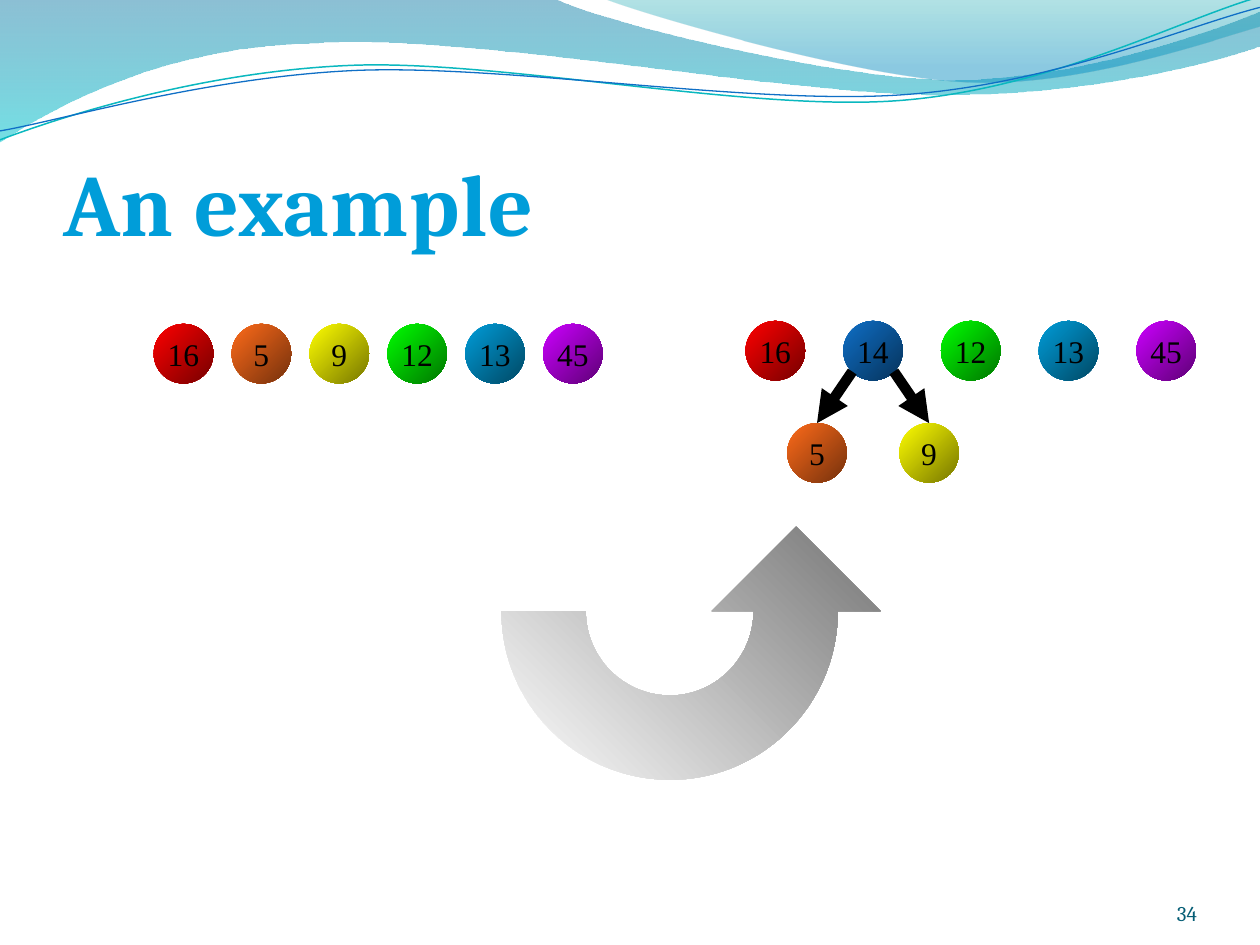
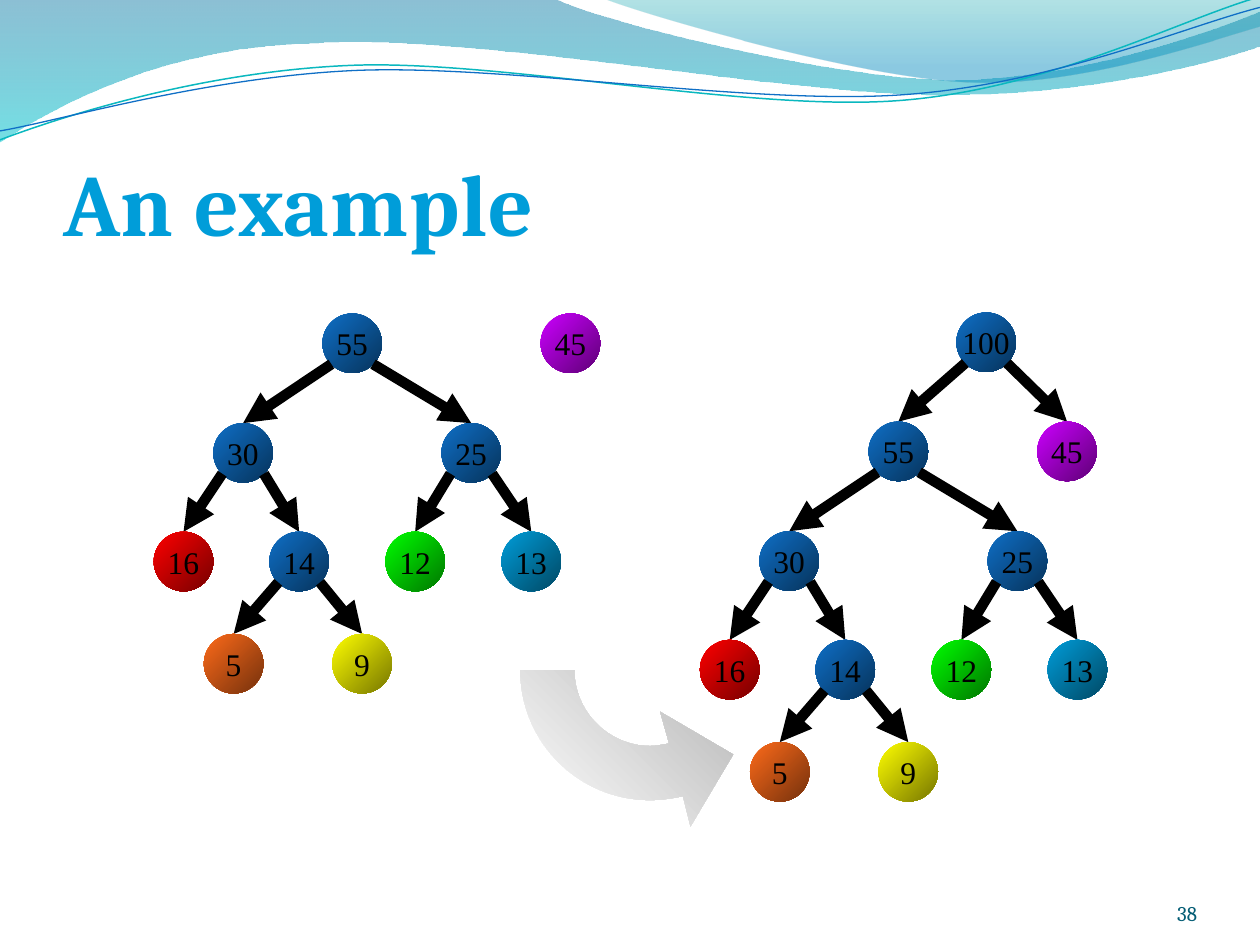
from lxml import etree
from pptx import Presentation
from pptx.dml.color import RGBColor
from pptx.enum.shapes import MSO_CONNECTOR, MSO_SHAPE
from pptx.enum.text import MSO_ANCHOR, MSO_AUTO_SIZE, PP_ALIGN
from pptx.oxml.ns import qn
from pptx.util import Cm, Pt

OVAL = MSO_SHAPE.OVAL
LINE = MSO_CONNECTOR.STRAIGHT
LEFT, MID, RIGHT = PP_ALIGN.LEFT, PP_ALIGN.CENTER, PP_ALIGN.RIGHT
BASE, CORE = MSO_ANCHOR.BOTTOM, MSO_ANCHOR.MIDDLE
FIXED = MSO_AUTO_SIZE.NONE

BLUE = "0F6FC6"
SKY = "009DD9"
WHITE = "FFFFFF"
HUES = {"16": "FF0000", "5": "FE6B1A", "9": "FFFF00",
        "12": "00FF00", "13": SKY, "45": "CC00FF"}
SIZE = 1.2


def paint(fill, *tones, turn=315, stops=(0, 1)):
    if len(tones) == 1:
        fill.solid()
        fill.fore_color.rgb = RGBColor.from_string(tones[0])
        return
    fill.gradient()
    fill.gradient_angle = turn
    for stop, tone, place in zip(fill.gradient_stops, tones, stops):
        stop.color.rgb = RGBColor.from_string(tone)
        stop.position = place


def write(shape, text, font="Cambria", size=18, tones=("000000",), bold=False,
          align=MID, anchor=CORE, wrap=True, pads=None, **shade):
    frame = shape.text_frame
    frame.auto_size = FIXED
    frame.word_wrap = wrap
    frame.vertical_anchor = anchor
    if pads:
        (frame.margin_left, frame.margin_top,
         frame.margin_right, frame.margin_bottom) = map(Cm, pads)
    para = frame.paragraphs[0]
    para.alignment = align
    run = para.add_run()
    run.text = text
    run.font.name = font
    run.font.size = Pt(size)
    run.font.bold = bold
    paint(run.font.fill, *tones, **shade)


deck = Presentation()
deck.slide_width, deck.slide_height = Cm(25.4), Cm(19.05)
plan = deck.slide_layouts[5]
deep = []

row = [(name, 3.7 + 1.57 * i, 6.53, None)
       for i, name in enumerate(["16", "5", "9", "12", "13", "45"])]
merged = [(name, 15.63 + 1.97 * i, 6.47, None)
          for i, name in enumerate(["16", "14", "12", "13", "45"])]
merged += [("5", 16.47, 8.53, "14"), ("9", 18.73, 8.53, "14")]
tree = [
    ("55", 7.1, 6.32, None),
    ("30", 4.9, 8.53, "55"),
    ("25", 9.5, 8.53, "55"),
    ("16", 3.7, 10.72, "30"),
    ("14", 6.03, 10.72, "30"),
    ("12", 8.37, 10.72, "25"),
    ("13", 10.71, 10.72, "25"),
    ("5", 4.71, 12.78, "14"),
    ("9", 7.3, 12.78, "14"),
]
lone = [("45", 11.5, 6.32, None)]
full = [("100", 19.88, 6.3, None), ("45", 21.51, 8.5, "100")]
full += [(name, x + 11.01, y + 2.18, up or "100") for name, x, y, up in tree]

for number, groups in [("34", [row, merged]), ("38", [tree, lone, full])]:
    slide = deck.slides.add_slide(plan)
    title = slide.shapes.title
    title.left, title.top = Cm(1.27), Cm(1.95)
    title.width, title.height = Cm(22.86), Cm(3.17)
    write(title, "An example", size=50, bold=True, align=LEFT, anchor=BASE,
          tones=(SKY, "006F99"), turn=270, stops=(0.25, 1),
          pads=(0, 0.13, 0, 0))
    for props in title.element.iter(qn("a:rPr")):
        props.set("spc", "50")
    page = slide.shapes.add_textbox(Cm(22.02), Cm(17.65), Cm(2.11), Cm(1.02))
    write(page, number, size=12, tones=("045D75",), align=RIGHT, anchor=BASE,
          pads=(0, 0, 0, 0))

    for group in groups:
        spots = {name: (x, y) for name, x, y, up in group}
        for name, x, y, up in group:
            if up:
                px, py = spots[up]
                start = px + (0.42 if x > px else -0.42)
                link = slide.shapes.add_connector(
                    LINE, Cm(start), Cm(py + 1.02), Cm(x), Cm(y))
                paint(link.line.fill, "000000")
                link.line.width = Pt(6)
                props = link.element.spPr
                etree.SubElement(props.find(qn("a:ln")), qn("a:tailEnd"),
                                 type="triangle")
                etree.SubElement(props, qn("a:effectLst"))
            ball = slide.shapes.add_shape(
                OVAL, Cm(x - SIZE / 2), Cm(y), Cm(SIZE), Cm(SIZE))
            ball.shadow.inherit = False
            ball.line.fill.background()
            hue = HUES.get(name, BLUE)
            paint(ball.fill, hue, hue)
            deep.append(ball)
            write(ball, name, font="Times New Roman", wrap=False)

band = [(0, 0), (11.18, -0.03), (12.09, 0.43, 16.87, 1.6, 19.25, 1.6),
        (21.67, 1.6, 24.33, 0.66, 25.4, 0.23), (25.43, 0.91),
        (24.97, 1.12, 22.1, 1.93, 18.95, 1.91),
        (15.8, 1.91, 9.7, 0.71, 6.53, 0.86),
        (3.28, 0.91, 1.17, 2.11, -0.03, 2.87), (0, 0)]
crest = [(12.17, -0.03), (12.93, 0.28, 17.32, 1.57, 19.53, 1.65),
         (21.74, 1.75, 24.41, 0.81, 25.4, 0.53), (25.4, 0), (12.17, -0.03)]
teal = [(0, 2.82), (1.22, 2.36, 4.01, 1.45, 7.04, 1.32),
        (10.03, 1.19, 15.06, 2.26, 18.11, 2.03),
        (21.16, 1.8, 23.83, 0.38, 25.35, -0.05)]
navy = [(0, 2.64), (1.19, 2.44, 4.17, 1.55, 7.19, 1.42),
        (10.24, 1.3, 15.16, 2.13, 18.21, 1.91),
        (21.23, 1.7, 23.9, 0.53, 25.4, 0.15)]
turnup = [(15.19, 12.32), (15.19, 13.26, 14.43, 14.02, 13.51, 14.02),
          (12.57, 14.02, 11.81, 13.26, 11.81, 12.32), (10.11, 12.32),
          (10.11, 14.2, 11.63, 15.72, 13.51, 15.72),
          (15.37, 15.72, 16.89, 14.2, 16.89, 12.32),
          (17.75, 12.32), (16.05, 10.62), (14.35, 12.32), (15.19, 12.32)]
swing = [(13.49, 14.99), (13.36, 15.01, 13.23, 15.04, 13.11, 15.04),
         (12.27, 15.04, 11.58, 14.35, 11.58, 13.51), (10.49, 13.51),
         (10.49, 14.96, 11.66, 16.13, 13.11, 16.13),
         (13.31, 16.13, 13.54, 16.1, 13.77, 16.05),
         (13.92, 16.66), (14.78, 15.21), (13.31, 14.35), (13.49, 14.99)]

first, last = deck.slides
forms = [
    (first, band, ("0074A1", "00C6CF"), 270, (0, 1), (45, 55), 0),
    (first, crest, ("00A1A9", "008BBF"), 270, (0, 0.8), (30, 45), 0),
    (first, teal, ("0AB8BF",), 0, (), (), 0.85),
    (first, navy, (BLUE,), 0, (), (), 0.75),
    (first, turnup, (WHITE, WHITE), 45, (0, 1), (), 0),
    (last, swing, (WHITE, "B6B6B6"), 45, (0, 1), (), 0),
]
for index, (slide, steps, tones, turn, stops, clear, width) in enumerate(forms):
    ends = [(Cm(step[-2]), Cm(step[-1])) for step in steps]
    pen = slide.shapes.build_freeform(*ends[0])
    pen.add_line_segments(ends[1:], close=not width)
    form = pen.convert_to_shape()
    form.shadow.inherit = False
    for step, side in zip(steps[1:], list(form.element.iter(qn("a:lnTo")))):
        if len(step) == 6:
            curve = etree.Element(qn("a:cubicBezTo"))
            for x, y in zip(step[::2], step[1::2]):
                etree.SubElement(curve, qn("a:pt"), x=str(Cm(x) - form.left),
                                 y=str(Cm(y) - form.top))
            side.getparent().replace(side, curve)
    if width:
        form.fill.background()
        paint(form.line.fill, *tones)
        form.line.width = Pt(width)
    else:
        form.line.fill.background()
        paint(form.fill, *tones, turn=turn, stops=stops)
    if tones == (WHITE, WHITE):
        deep.append(form)
    for tone, part in zip(form.element.spPr.iter(qn("a:srgbClr")), clear):
        etree.SubElement(tone, qn("a:alpha"), val=str(part * 1000))
    if index < 4:
        form.element.nvSpPr.cNvPr.set("id", str(20 + index))
        plan.shapes.element.insert(2 + index, form.element)

for shape in deep:
    dark = list(shape.element.spPr.iter(qn("a:srgbClr")))[-1]
    etree.SubElement(dark, qn("a:gamma"))
    etree.SubElement(dark, qn("a:shade"), val="46275")
    etree.SubElement(dark, qn("a:invGamma"))

deck.save("out.pptx")
